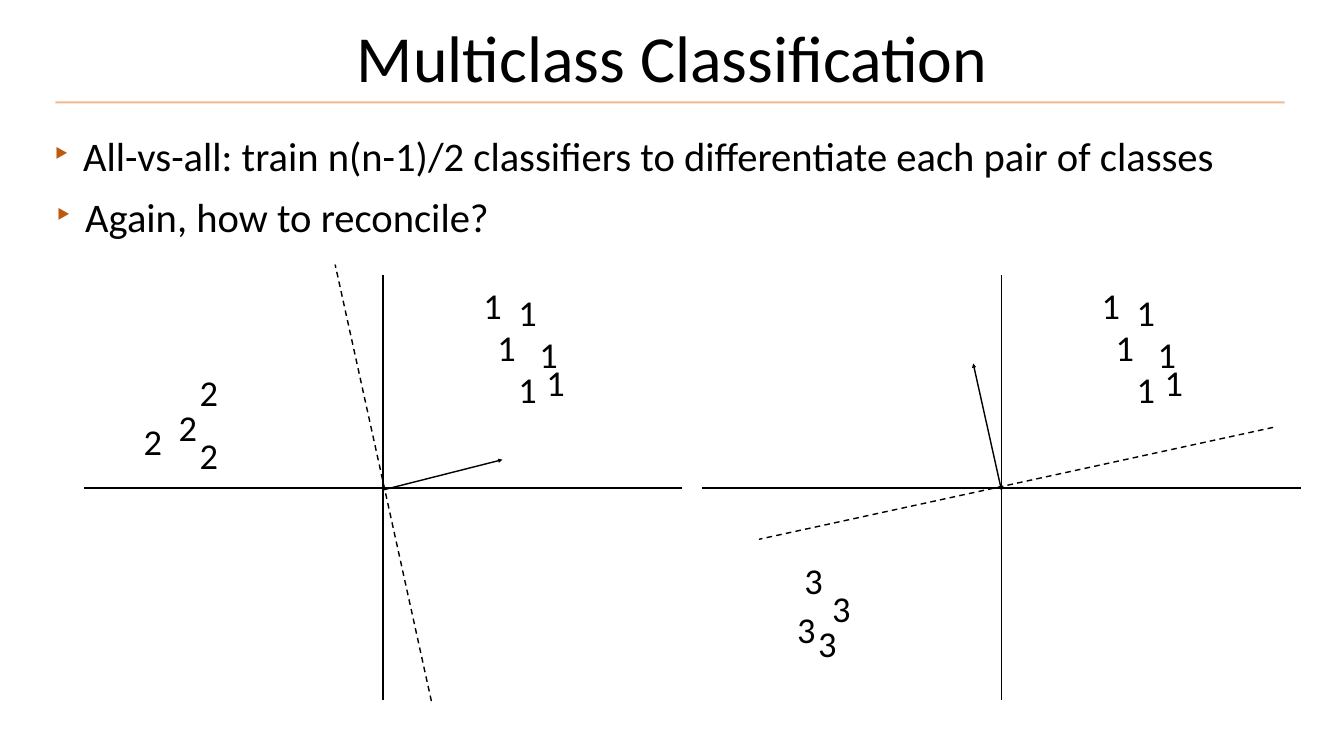
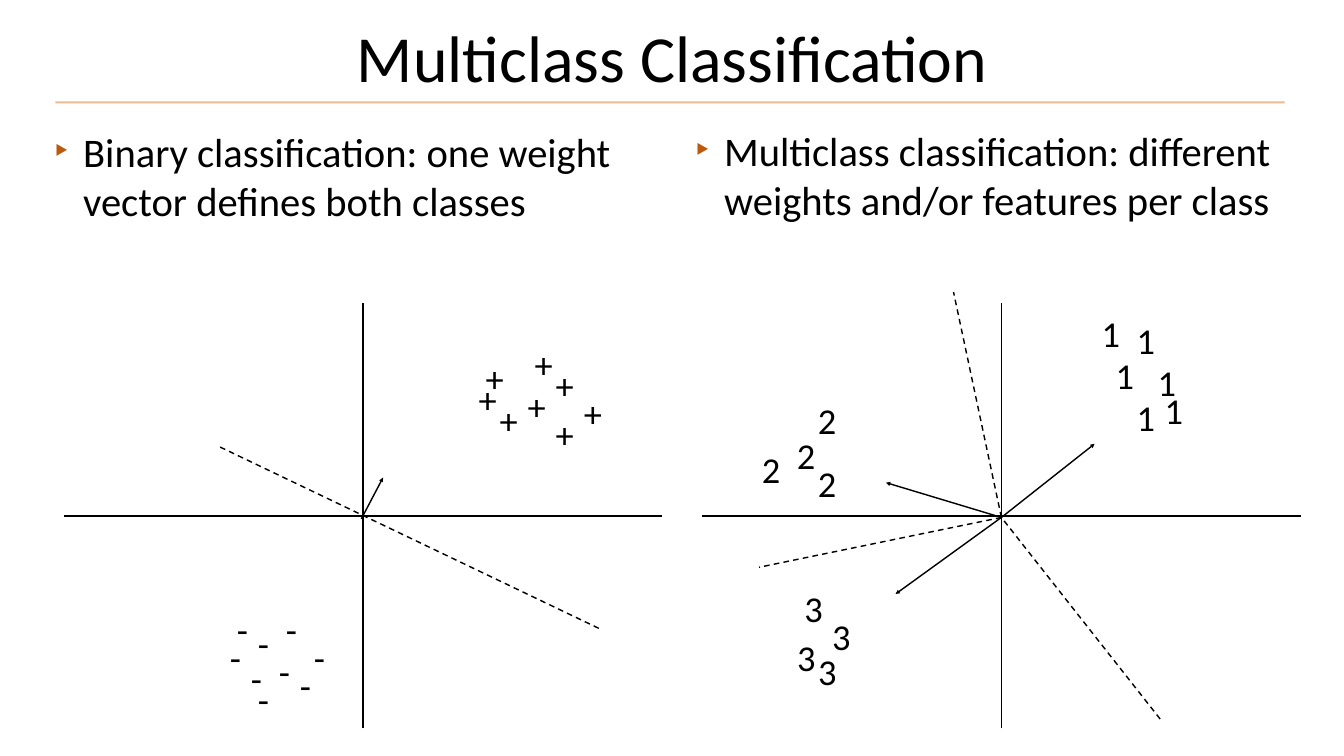
import pptx
import pptx.dml.color
import pptx.enum.dml
import pptx.enum.shapes
import pptx.enum.text
import pptx.oxml
import pptx.oxml.ns
import pptx.util
from lxml import etree

COLS, ROWS = 192, 108
WIDTH, HEIGHT = pptx.util.Inches(26.67), pptx.util.Inches(15)

BLACK = pptx.dml.color.RGBColor(0x00, 0x00, 0x00)
ORANGE = pptx.dml.color.RGBColor(0xDE, 0x6A, 0x10)
RUST = pptx.dml.color.RGBColor(0xBD, 0x59, 0x0C)

ANCHOR = pptx.enum.text.MSO_ANCHOR
FIT = pptx.enum.text.MSO_AUTO_SIZE
PAD = pptx.util.Inches(0.08)
HANG = pptx.util.Inches(0.58)
MARGINS = dict.fromkeys(
    ("margin_left", "margin_top", "margin_right", "margin_bottom"), PAD)

TITLE = "Multiclass Classification"
TITLE_BOX = (38.09, -1.15, 115.85, 18.43)
RULE = ((7.92, 14.62), (183.53, 14.62))

# Half lengths of the axes, in columns and rows
REACH, RISE = 42.73, 30.35
RIGHT = 143.06

# Each cluster: sign, box width, first corner from the origin, steps from it
ONES = ("1", 3.89, (13.75, -29.3),
        ((0, 0), (5, 1), (2, 6), (8, 7), (5, 12), (9, 11)))
TWOS = ("2", 3.89, (-34.78, -16.8), ((8, 0), (5, 5), (8, 9), (0, 7)))
THREES = ("3", 3.89, (-29.74, 10), ((3, 9), (0, 7), (5, 4), (1, 0)))
PLUSES = ("+", 3.82, (15.98, -24.84),
          ((1, 2), (0, 5), (3, 8), (7, 6), (11, 10), (15, 7), (11, 3), (8, 0)))
MINUSES = ("-", 2.81, (-19.58, 13.03),
           ((1, 0), (4, 2), (8, 0), (12, 4), (10, 8), (7, 6), (4, 10),
            (3, 7), (0, 4)))
MARK_TALL = 6.26


def put(item, values):
    """Set each attribute named in values."""
    for name, value in values.items():
        setattr(item, name, value)


def across(cols):
    return round(WIDTH * cols / COLS)


def down(rows):
    return round(HEIGHT * rows / ROWS)


def place(shape, box):
    left, top, width, height = box
    put(shape, {"left": across(left), "top": down(top),
                "width": across(width), "height": down(height)})


def write(shape, text, size, frame, align=None):
    """Fill a shape with one paragraph and return that paragraph."""
    put(shape.text_frame, {**MARGINS, **frame})
    para = shape.text_frame.paragraphs[0]
    para.text = text
    put(para, {"alignment": align, "space_before": pptx.util.Pt(0)})
    put(para.runs[0].font, {"name": "Calibri", "size": pptx.util.Pt(size)})
    para.runs[0].font.color.rgb = BLACK
    return para


def sub(parent, tag, **values):
    return etree.SubElement(parent, pptx.oxml.ns.qn(tag), values)


def draw(slide, start, end, color=BLACK, width=2, dash=None, arrow=False,
         alpha=None):
    line = slide.shapes.add_connector(
        pptx.enum.shapes.MSO_CONNECTOR.STRAIGHT,
        across(start[0]), down(start[1]), across(end[0]), down(end[1]))
    line.line.color.rgb = color
    put(line.line, {"width": pptx.util.Pt(width), "dash_style": dash})
    props = line.element.spPr
    stroke = props.find(pptx.oxml.ns.qn("a:ln"))
    if arrow:
        sub(stroke, "a:tailEnd", type="triangle")
    if alpha:
        tint = stroke.find(".//" + pptx.oxml.ns.qn("a:srgbClr"))
        sub(tint, "a:alpha", val=str(alpha * 1000))
    sub(props, "a:effectLst")


def bullet(shape, text, box):
    place(shape, box)
    para = shape.text_frame.paragraphs[0]
    props = para._p.get_or_add_pPr()
    props.set("marL", str(HANG))
    props.set("indent", str(-HANG))
    sub(sub(props, "a:buClr"), "a:srgbClr", val=str(RUST))
    sub(props, "a:buChar", char="‣")
    write(shape, text, 58, {"word_wrap": True, "vertical_anchor": ANCHOR.TOP,
                            "auto_size": FIT.SHAPE_TO_FIT_TEXT})


def scatter(slide, origin, cluster):
    """Place every mark of a cluster on the grid around an origin."""
    sign, wide, first, steps = cluster
    for col, row in steps:
        box = slide.shapes.add_textbox(0, 0, 0, 0)
        place(box, (origin[0] + first[0] + col, origin[1] + first[1] + row,
                    wide, MARK_TALL))
        write(box, sign, 52, {"word_wrap": False,
                              "vertical_anchor": ANCHOR.MIDDLE,
                              "auto_size": FIT.SHAPE_TO_FIT_TEXT})


def plot(slide, origin, clusters, splits, weights):
    """Draw axes, dashed class borders, weight arrows and marks."""
    x, y = origin

    def ray(start, end, **style):
        draw(slide, (x + start[0], y + start[1]), (x + end[0], y + end[1]),
             **style)

    ray((0, RISE), (0, -RISE))
    ray((-REACH, 0), (REACH, 0))
    for start, end in splits:
        ray(start, end, dash=pptx.enum.dml.MSO_LINE.DASH)
    for start, end in weights:
        ray(start, end, arrow=True)
    for cluster in clusters:
        scatter(slide, origin, cluster)


def page(deck, lists):
    """Add a slide with the shared title, rule and two lists."""
    slide = deck.slides.add_slide(deck.slide_layouts.get_by_name("Two Content"))
    draw(slide, *RULE, color=ORANGE, width=3, alpha=46)
    place(slide.shapes.title, TITLE_BOX)
    write(slide.shapes.title, TITLE, 94,
          {"word_wrap": True, "vertical_anchor": ANCHOR.MIDDLE,
           "auto_size": FIT.NONE}, pptx.enum.text.PP_ALIGN.CENTER)
    for spot, (text, box) in enumerate(lists, 1):
        bullet(slide.placeholders[spot], text, box)
    return slide


def pairs(deck):
    slide = page(deck, (
        ("All-vs-all: train n(n-1)/2 classifiers to differentiate each pair "
         "of classes", (7.13, 18.07, 177.12, 7.06)),
        ("Again, how to reconcile?", (7.42, 26.78, 177.12, 7.06))))
    level = 69.7
    plot(slide, (54.72, level), (ONES, TWOS),
         [((6.91, 30.46), (-6.84, -31.9))],
         [((0, 0.29), (17.06, -4.03))])
    plot(slide, (RIGHT, level), (ONES, THREES),
         [((38.81, -8.64), (-34.63, 7.34))],
         [((0, 0.29), (-4.03, -17.78))])


def compare(deck):
    slide = page(deck, (
        ("Binary classification: one weight vector defines both classes",
         (7.13, 17.57, 92.02, 14.26)),
        ("Multiclass classification: different weights and/or features per "
         "class", (98.71, 17.42, 90.14, 14.26))))
    level = 73.7
    plot(slide, (51.84, level), (PLUSES, MINUSES),
         [((33.7, 16.06), (-20.45, -9.86))],
         [((-0.22, 0.43), (2.88, -5.47))])
    hub = (0, 0.22)
    plot(slide, (RIGHT, level), (ONES, TWOS, THREES),
         [(hub, (-34.63, 7.34)), (hub, (-6.84, -31.97)),
          ((22.68, 29.02), hub)],
         [(hub, (-15.12, 11.16)), (hub, (13.32, -10.3)),
          (hub, (-16.49, -4.75))])


def main():
    deck = pptx.Presentation()
    put(deck, {"slide_width": WIDTH, "slide_height": HEIGHT})
    pairs(deck)
    compare(deck)
    deck.save("out.pptx")


if __name__ == "__main__":
    main()
